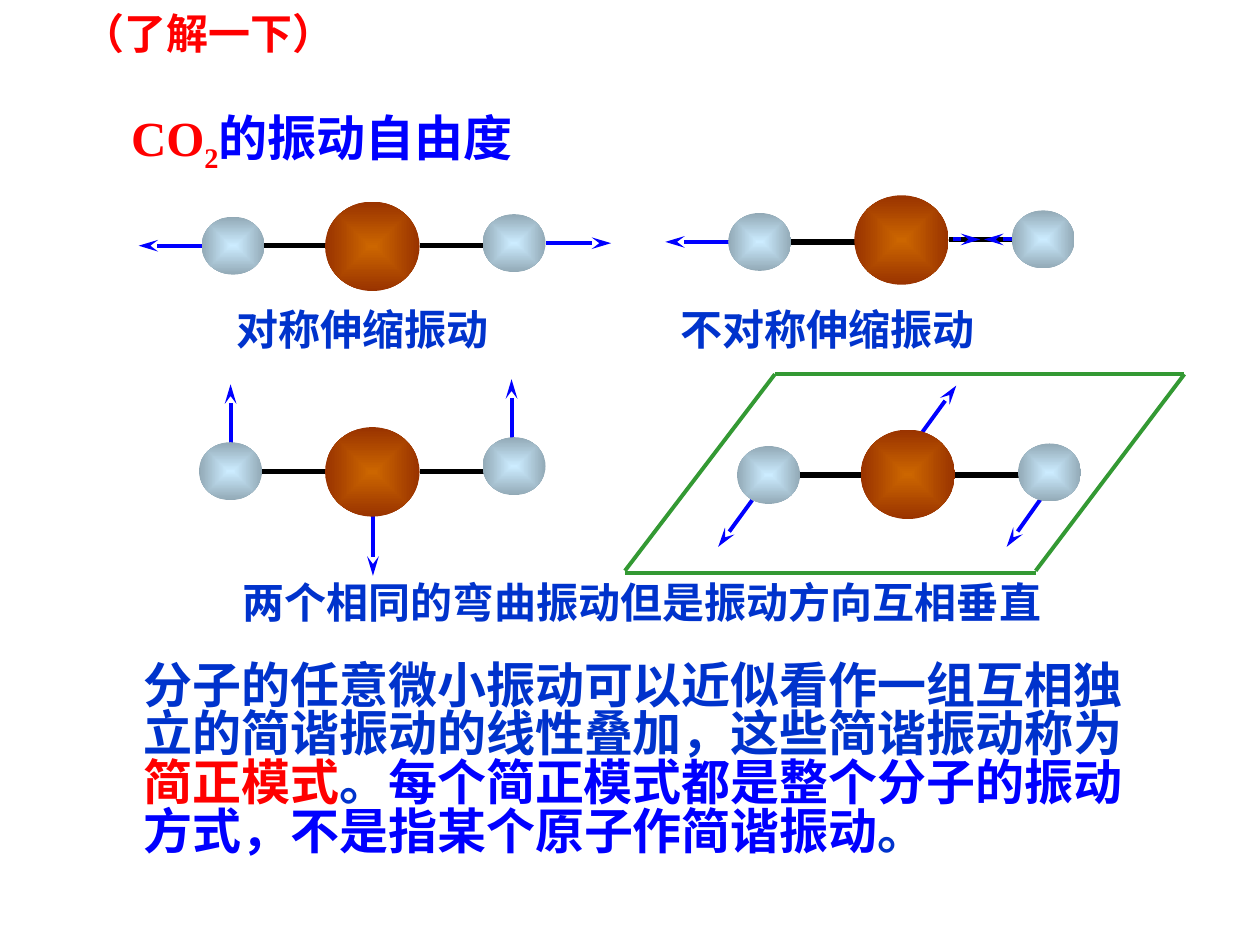
import pptx
import pptx.util
import pptx.dml.color
import pptx.enum.shapes
import pptx.enum.text
import pptx.oxml
import pptx.oxml.ns
import lxml.etree

Inches = pptx.util.Inches
qn = pptx.oxml.ns.qn
CJK = "Noto Sans CJK SC"
TIMES = "Times New Roman"
HUES = {
    "red": "FF0000", "blue": "0000FF", "navy": "0033CC",
    "black": "000000", "green": "339933",
    "orange": "CC6600", "brown": "993300", "ice": "CCECFF", "steel": "92A9B6",
}
# Ball kinds: width, height, centre colour, edge colour
CARBON = (0.75, 0.71, "orange", "brown")
OXYGEN = (0.5, 0.46, "ice", "steel")

# Each mode: carbon corner, oxygen corners, bond heights, arrows (tail to tip)
MODES = [
    ((2.58, 1.6), (1.6, 1.72), (3.83, 1.7), (1.95, 1.95),
     [(1.62, 1.95, 1.1, 1.95), (4.33, 1.93, 4.85, 1.93)]),
    ((6.78, 1.55), (5.78, 1.69), (8.03, 1.67), (1.92, 1.9),
     [(5.81, 1.92, 5.28, 1.92), (7.56, 1.9, 7.78, 1.9),
      (8.03, 1.9, 7.81, 1.9)]),
    ((2.58, 3.39), (1.58, 3.51), (3.83, 3.47), (3.74, 3.74),
     [(1.83, 3.55, 1.83, 3.05), (4.06, 3.49, 4.06, 3.01),
      (2.96, 4.07, 2.96, 4.57)]),
    ((6.83, 3.41), (5.85, 3.54), (8.08, 3.52), (3.77, 3.77),
     [(7.32, 3.43, 7.59, 3.06), (5.97, 3.97, 5.7, 4.34),
      (8.26, 3.96, 7.99, 4.34)]),
]
PLANE = [(6.15, 2.97, 4.96, 4.53), (9.4, 2.97, 8.22, 4.53),
         (6.15, 2.97, 9.4, 2.97), (4.96, 4.55, 8.22, 4.55)]
LABELS = [
    (1.78, 2.4, 3, "对称伸缩振动"),
    (5.3, 2.4, 3.23, "不对称伸缩振动"),
    (1.83, 4.56, 6.75, "两个相同的弯曲振动但是振动方向互相垂直"),
]


def rgb(hue):
    return pptx.dml.color.RGBColor.from_string(HUES[hue])


def write(shape, box, size, runs):
    """Place a text shape and fill it with (text, hue, font[, offset]) runs."""
    shape.left, shape.top, shape.width, shape.height = map(Inches, box)
    frame = shape.text_frame
    frame.word_wrap = True
    frame.auto_size = pptx.enum.text.MSO_AUTO_SIZE.NONE
    frame.vertical_anchor = pptx.enum.text.MSO_ANCHOR.TOP
    frame.margin_top = Inches(0.08)
    para = frame.paragraphs[0]
    props = para._p.get_or_add_pPr()
    props.set("marL", "0")
    props.set("indent", "0")
    lxml.etree.SubElement(props, qn("a:buNone"))
    para.alignment = pptx.enum.text.PP_ALIGN.LEFT
    para.line_spacing = 0.83
    para.space_before = pptx.util.Pt(0)
    for text, hue, face, *shift in runs:
        run = para.add_run()
        run.text = text
        font = run.font
        font.size = pptx.util.Pt(size)
        font.bold = True
        font.name = face
        font.color.rgb = rgb(hue)
        mark = run._r.get_or_add_rPr()
        lxml.etree.SubElement(mark, qn("a:ea"), typeface=CJK)
        if shift:
            mark.set("baseline", str(shift[0] * 1000))


def line(slide, ends, hue, width, arrow=False):
    kind = pptx.enum.shapes.MSO_CONNECTOR.STRAIGHT
    link = slide.shapes.add_connector(kind, *map(Inches, ends))
    link.line.color.rgb = rgb(hue)
    link.line.width = pptx.util.Pt(width)
    if arrow:
        lxml.etree.SubElement(link.line._get_or_add_ln(), qn("a:tailEnd"),
                              type="stealth", w="med", len="lg")
    lxml.etree.SubElement(link._element.spPr, qn("a:effectLst"))


def ball(slide, spot, kind):
    wide, high, core, rim = kind
    oval = slide.shapes.add_shape(pptx.enum.shapes.MSO_SHAPE.OVAL,
                                  *map(Inches, (*spot, wide, high)))
    oval.shadow.inherit = False
    oval.line.fill.background()
    # Gradient that spreads from the centre
    oval.fill.gradient()
    grad = oval._element.spPr.find(qn("a:gradFill"))
    for stop, hue in zip(oval.fill.gradient_stops, (core, rim)):
        stop.color.rgb = rgb(hue)
    for stop, place in zip(oval.fill.gradient_stops, (0, 1)):
        stop.position = place
    grad.remove(grad.find(qn("a:lin")))
    path = lxml.etree.Element(qn("a:path"), path="shape")
    lxml.etree.SubElement(path, qn("a:fillToRect"),
                          l="50000", t="50000", r="50000", b="50000")
    grad.find(qn("a:gsLst")).addnext(path)


def mode(slide, carbon, left, right, bonds, arrows):
    """Draw one vibration: bonds, then arrows, then the three atoms."""
    mid = carbon[0]
    line(slide, (left[0] + 0.48, bonds[0], mid + 0.02, bonds[0]), "black", 3)
    line(slide, (mid + 0.75, bonds[1], right[0] + 0.02, bonds[1]), "black", 3)
    for ends in arrows:
        line(slide, ends, "blue", 2.25, arrow=True)
    ball(slide, carbon, CARBON)
    for spot in (left, right):
        ball(slide, spot, OXYGEN)


def label(slide, box, hue, face, text):
    write(slide.shapes.add_textbox(0, 0, 0, 0), box, 24, [(text, hue, face)])


def main():
    deck = pptx.Presentation()
    deck.slide_width, deck.slide_height = Inches(10), Inches(7.5)
    slide = deck.slides.add_slide(deck.slide_layouts[1])

    # Heading and body text
    write(slide.shapes.title, (0.94, 0.81, 3.58, 0.57), 28, [
        ("CO", "red", TIMES), ("2", "red", TIMES, -25),
        ("的振动自由度", "blue", TIMES)])
    write(slide.placeholders[1], (1.04, 5.19, 8.27, 1.99), 28, [
        ("分子的任意微小振动可以近似看作一组互相独立的简谐振动的线性叠加，"
         "这些简谐振动称为", "navy", "Arial"),
        ("简正模式", "red", CJK),
        ("。", "navy", "Arial"),
        ("每个简正模式都是整个分子的振动方式，不是指某个原子作简谐振动",
         "blue", CJK),
        ("。", "navy", "Arial")])

    # The four vibrations and the plane around the last one
    for parts in MODES:
        mode(slide, *parts)
    for ends in PLANE:
        line(slide, ends, "green", 2.25)

    # Captions and the note at the top
    for left, top, wide, text in LABELS:
        label(slide, (left, top, wide, 0.51), "navy", "Arial", text)
    label(slide, (0.56, 0.05, 3.68, 0.5), "red", TIMES, "（了解一下）")

    deck.save("out.pptx")


if __name__ == "__main__":
    main()
